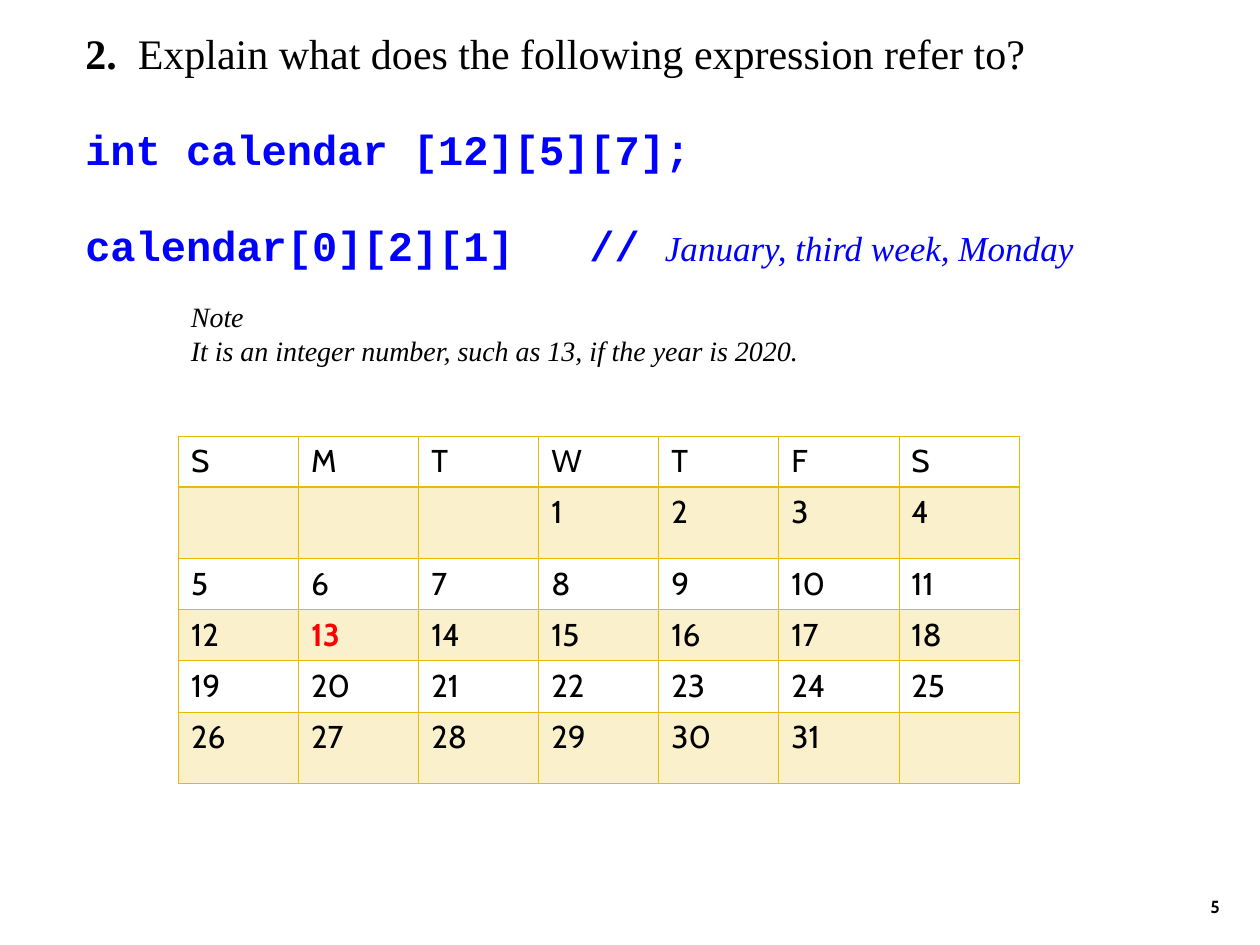
from dataclasses import dataclass

from lxml.etree import SubElement
from pptx import Presentation
from pptx.dml.color import RGBColor as Rgb
from pptx.enum.text import MSO_ANCHOR as Anchor, PP_ALIGN as Align
from pptx.oxml.ns import qn
from pptx.util import Cm, Pt


@dataclass(frozen=True)
class Theme:
    ink: Rgb = Rgb(0x00, 0x00, 0x00)
    code: Rgb = Rgb(0x00, 0x00, 0xFF)
    highlight: Rgb = Rgb(0xFF, 0x00, 0x00)
    gold: Rgb = Rgb(0xE7, 0xBB, 0x01)
    band_opacity: int = 20
    serif: str = "Times New Roman"
    mono: str = "Courier New"
    sans: str = "Cabin"
    heading_size: Pt = Pt(24)
    comment_size: Pt = Pt(20)
    cell_size: Pt = Pt(18)
    note_size: Pt = Pt(16)
    number_size: Pt = Pt(10)
    question_gap: Pt = Pt(26)
    grid_line: Pt = Pt(0.45)
    header_line: Pt = Pt(0.96)


THEME = Theme()
WEEKDAYS = list("SMTWTFS")
FIRST_WEEKDAY, DAYS, MARKED_DAY = 3, 31, 13
ROW_HEIGHT, PARTIAL_WEEK_HEIGHT = Cm(1.03), Cm(1.44)


def style(font, face, size, color, bold=False, italic=False):
    font.name, font.size, font.bold, font.italic = face, size, bold, italic
    font.color.rgb = color


def add_text_frame(slide, box, anchor=Anchor.TOP):
    frame = slide.shapes.add_textbox(*box).text_frame
    frame.word_wrap = True
    frame.vertical_anchor = anchor
    return frame


def add_run(paragraph, text):
    run = paragraph.add_run()
    run.text = text
    return run


def add_question(slide, box):
    frame = add_text_frame(slide, box)
    question = frame.paragraphs[0]
    style(question.font, THEME.serif, THEME.heading_size, THEME.ink)
    add_run(question, "2.  ").font.bold = True
    add_run(question, "Explain what does the following expression refer to?")

    declaration, expression = frame.add_paragraph(), frame.add_paragraph()
    for line, code in ((declaration, "int calendar [12][5][7];"),
                       (expression, "calendar[0][2][1]   // ")):
        line.space_before = THEME.question_gap
        style(add_run(line, code).font, THEME.mono, THEME.heading_size,
              THEME.code, bold=True)
    comment = add_run(expression, "January, third week, Monday")
    style(comment.font, THEME.serif, THEME.comment_size, THEME.code, italic=True)


def add_note(slide, box):
    frame = add_text_frame(slide, box)
    frame.text = "Note\nIt is an integer number, such as 13, if the year is 2020."
    for line in frame.paragraphs:
        style(line.font, THEME.serif, THEME.note_size, THEME.ink, italic=True)


def month_weeks():
    """Return the days of the month in rows of seven, None where there is no day."""
    width = len(WEEKDAYS)
    days = [None] * FIRST_WEEKDAY + list(range(1, DAYS + 1))
    days += [None] * (-len(days) % width)
    return [days[i:i + width] for i in range(0, len(days), width)]


def set_borders(cell, top, bottom):
    """Draw the four gold edges; must run before the cell gets its fill."""
    properties = cell._tc.get_or_add_tcPr()
    widths = {"lnL": THEME.grid_line, "lnR": THEME.grid_line,
              "lnT": top, "lnB": bottom}
    for edge, width in widths.items():
        line = SubElement(properties, qn(f"a:{edge}"), w=str(int(width)))
        fill = SubElement(line, qn("a:solidFill"))
        SubElement(fill, qn("a:srgbClr"), val=str(THEME.gold))


def set_band(cell, shaded):
    if not shaded:
        cell.fill.background()
        return
    cell.fill.solid()
    cell.fill.fore_color.rgb = THEME.gold
    color = cell._tc.tcPr.find(f"{qn('a:solidFill')}/{qn('a:srgbClr')}")
    SubElement(color, qn("a:alpha"), val=str(THEME.band_opacity * 1000))


def add_calendar(slide, box):
    rows = [WEEKDAYS] + month_weeks()
    calendar = slide.shapes.add_table(len(rows), len(WEEKDAYS), *box).table
    calendar.first_row = calendar.horz_banding = False
    for r, entries in enumerate(rows):
        calendar.rows[r].height = PARTIAL_WEEK_HEIGHT if None in entries else ROW_HEIGHT
        for c, entry in enumerate(entries):
            cell = calendar.cell(r, c)
            set_borders(cell,
                        top=THEME.header_line if r == 1 else THEME.grid_line,
                        bottom=THEME.header_line if r == 0 else THEME.grid_line)
            set_band(cell, shaded=r % 2 == 1)
            if entry is None:
                continue
            cell.text = str(entry)
            marked = entry == MARKED_DAY
            style(cell.text_frame.paragraphs[0].font, THEME.sans, THEME.cell_size,
                  THEME.highlight if marked else THEME.ink, bold=marked)


def add_page_number(slide, box, number):
    line = add_text_frame(slide, box, Anchor.BOTTOM).paragraphs[0]
    line.text = str(number)
    line.alignment = Align.RIGHT
    style(line.font, THEME.sans, THEME.number_size, THEME.ink, bold=True)


def main():
    deck = Presentation()
    deck.slide_width, deck.slide_height = Cm(25.4), Cm(19.05)
    slide = deck.slides.add_slide(deck.slide_layouts[6])
    add_page_number(slide, (Cm(19.56), Cm(17.35), Cm(5.28), Cm(1.27)), 5)
    add_question(slide, (Cm(1.47), Cm(0.43), Cm(22.86), Cm(5)))
    add_note(slide, (Cm(3.6), Cm(5.92), Cm(18.62), Cm(1.63)))
    add_calendar(slide, (Cm(3.6), Cm(8.79), Cm(16.94), Cm(7)))
    deck.save("out.pptx")


if __name__ == "__main__":
    main()
